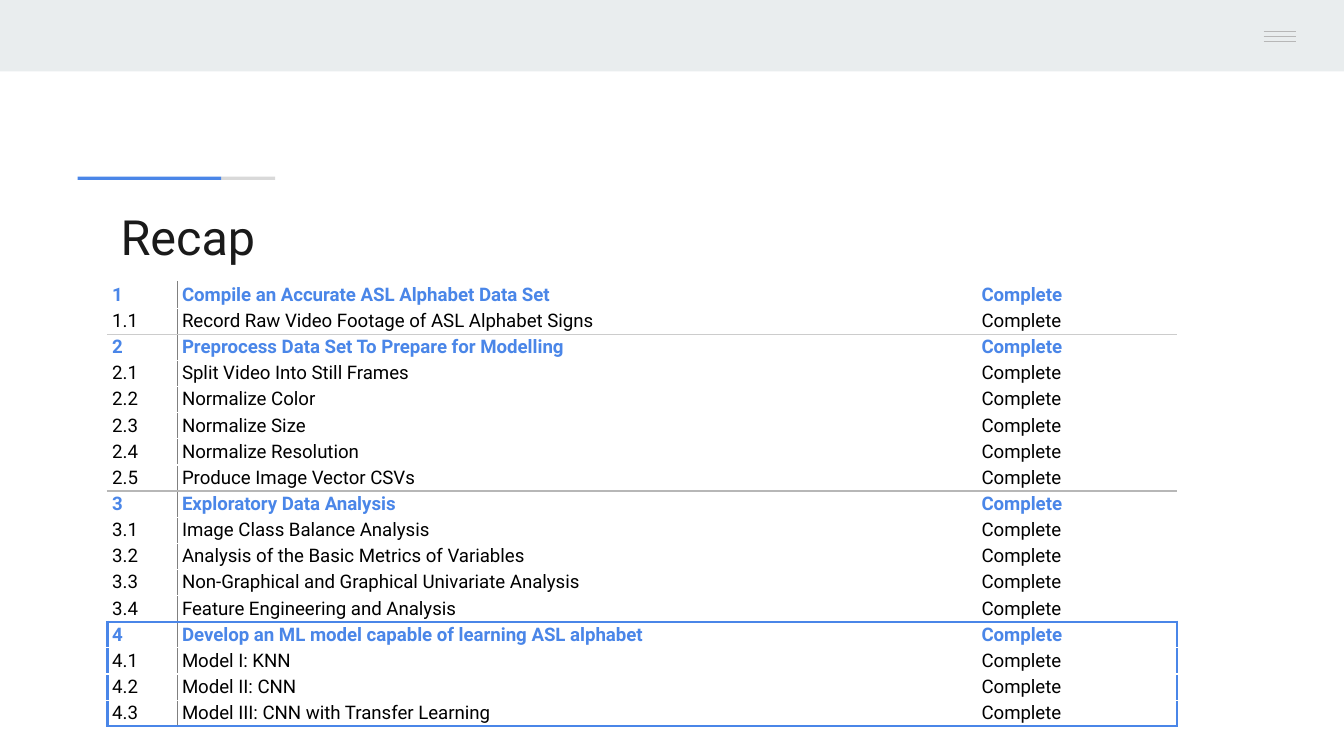
from lxml import etree
from pptx import Presentation
from pptx.dml.color import RGBColor
from pptx.enum.shapes import MSO_CONNECTOR, MSO_SHAPE
from pptx.enum.text import MSO_ANCHOR
from pptx.oxml.ns import qn
from pptx.util import Cm, Pt

FONT = "Roboto"
BLUE = RGBColor(0x4A, 0x86, 0xE8)
WHITE = RGBColor(0xFF, 0xFF, 0xFF)
BLACK = RGBColor(0x00, 0x00, 0x00)
INK = RGBColor(0x1A, 0x1A, 0x1A)
HEADER_GRAY = RGBColor(0xE9, 0xED, 0xEE)
TRACK_GRAY = RGBColor(0xD9, 0xD9, 0xD9)
LIGHT_RULE = RGBColor(0xCC, 0xCC, 0xCC)
MID_RULE = RGBColor(0xB7, 0xB7, 0xB7)
DIVIDER = RGBColor(0x80, 0x80, 0x80)

# Each phase: the rule below it, its heading and its steps
PHASES = [
    ((LIGHT_RULE, 0.75), "Compile an Accurate ASL Alphabet Data Set",
     ["Record Raw Video Footage of ASL Alphabet Signs"]),
    ((MID_RULE, 0.75), "Preprocess Data Set To Prepare for Modelling",
     ["Split Video Into Still Frames", "Normalize Color", "Normalize Size",
      "Normalize Resolution", "Produce Image Vector CSVs"]),
    ((BLUE, 1.5), "Exploratory Data Analysis",
     ["Image Class Balance Analysis",
      "Analysis of the Basic Metrics of Variables",
      "Non-Graphical and Graphical Univariate Analysis",
      "Feature Engineering and Analysis"]),
    ((BLUE, 1.5), "Develop an ML model capable of learning ASL alphabet",
     ["Model I: KNN", "Model II: CNN",
      "Model III: CNN with Transfer Learning"]),
]
PLAIN = (WHITE, 0.75)
FRAME = (BLUE, 1.5)
COLUMN_RULE = (DIVIDER, 0.5)


def add_bar(left, top, width, height, color):
    bar = slide.shapes.add_shape(
        MSO_SHAPE.RECTANGLE, Cm(left), Cm(top), Cm(width), Cm(height))
    bar.shadow.inherit = False
    bar.fill.solid()
    bar.fill.fore_color.rgb = color
    bar.line.fill.background()


def set_borders(cell, **borders):
    properties = cell._tc.get_or_add_tcPr()
    for side in "LRTB":
        color, width = borders[side]
        line = etree.SubElement(properties, qn(f"a:ln{side}"), w=str(Pt(width)))
        fill = etree.SubElement(line, qn("a:solidFill"))
        etree.SubElement(fill, qn("a:srgbClr"), val=str(color))


prs = Presentation()
prs.slide_width, prs.slide_height = Cm(25.4), Cm(14.29)
slide = prs.slides.add_slide(prs.slide_layouts[6])

# Header band and menu corner
add_bar(0, 0, 25.4, 1.35, HEADER_GRAY)
add_bar(23.01, 0, 2.39, 1.27, HEADER_GRAY)
for i in range(3):
    y = Cm(0.59 + 0.1 * i)
    menu_line = slide.shapes.add_connector(
        MSO_CONNECTOR.STRAIGHT, Cm(23.88), y, Cm(24.49), y)
    menu_line.line.color.rgb = MID_RULE
    menu_line.line.width = Pt(0.75)
    etree.SubElement(menu_line._element.spPr, qn("a:effectLst"))

# Accent line above the title
add_bar(4.18, 3.34, 1.02, 0.06, TRACK_GRAY)
add_bar(1.47, 3.34, 2.71, 0.06, BLUE)

# Title
title = slide.shapes.add_textbox(Cm(2.03), Cm(3.66), Cm(10.11), Cm(1.57)).text_frame
title.word_wrap = True
title.margin_left = title.margin_right = Cm(0.25)
title.margin_top = title.margin_bottom = Cm(0.25)
title.text = "Recap"
title_font = title.paragraphs[0].runs[0].font
title_font.name, title_font.size = FONT, Pt(26)
title_font.color.rgb = INK

# Progress table
row_count = sum(1 + len(steps) for _, _, steps in PHASES)
progress = slide.shapes.add_table(
    row_count, 3, Cm(2.03), Cm(5.33), Cm(20.21), Cm(8.4)).table
progress.first_row = progress.horz_banding = False
for column, width in zip(progress.columns, (1.32, 15.11, 3.78)):
    column.width = Cm(width)

row = 0
rule_above = PLAIN
for number, (rule_below, heading, steps) in enumerate(PHASES, 1):
    framed = number == len(PHASES)
    edge = FRAME if framed else PLAIN
    for step, task in enumerate([heading] + steps):
        is_heading = step == 0
        label = str(number) if is_heading else f"{number}.{step}"
        top = rule_above if is_heading else PLAIN
        bottom = rule_below if step == len(steps) else PLAIN
        verticals = (edge, COLUMN_RULE, PLAIN, edge)
        for col, text in enumerate((label, task, "Complete")):
            cell = progress.cell(row, col)
            set_borders(cell, L=verticals[col], R=verticals[col + 1],
                        T=top, B=bottom)
            if framed:
                cell.fill.solid()
                cell.fill.fore_color.rgb = WHITE
            else:
                cell.fill.background()
            cell.margin_left = Cm(0.09)
            cell.margin_right = cell.margin_top = cell.margin_bottom = 0
            cell.vertical_anchor = MSO_ANCHOR.MIDDLE
            cell.text_frame.text = text
            font = cell.text_frame.paragraphs[0].runs[0].font
            font.name, font.size, font.bold = FONT, Pt(10), is_heading
            font.color.rgb = BLUE if is_heading else BLACK
        row += 1
    rule_above = rule_below

prs.save("out.pptx")
